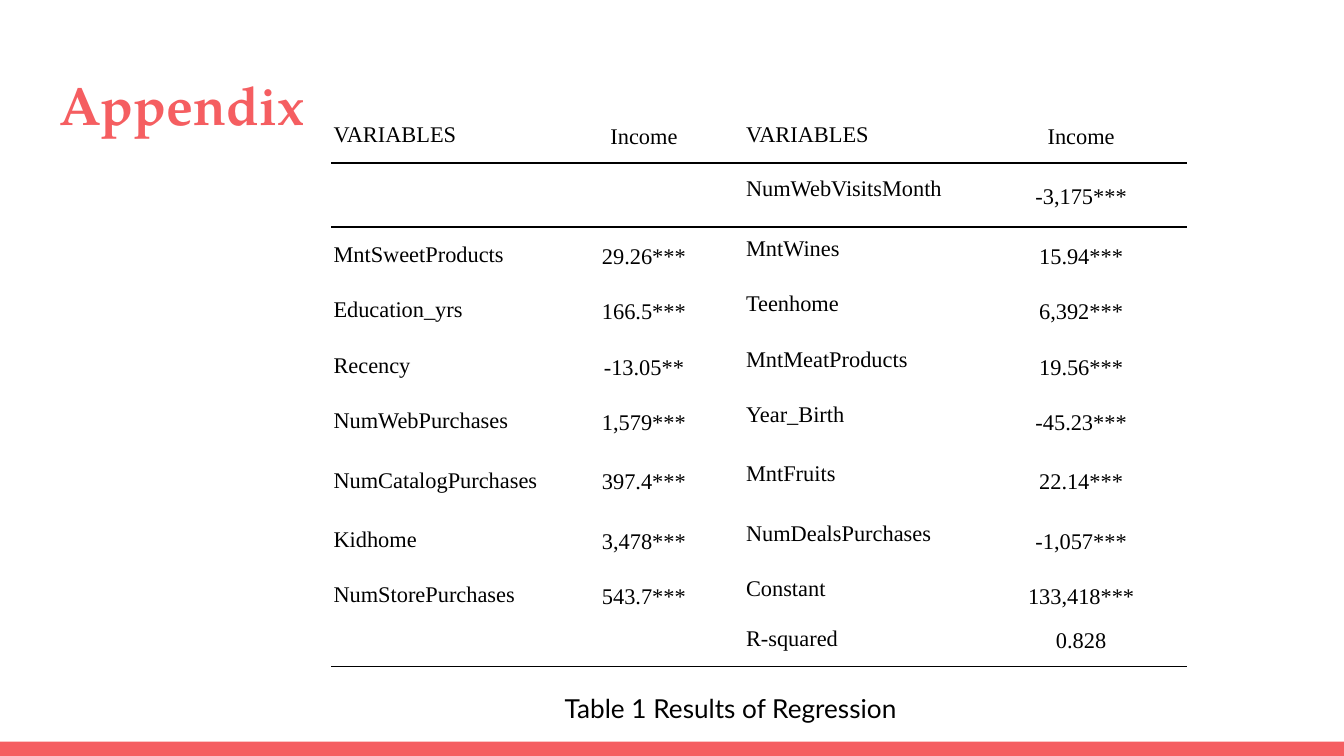
from lxml.etree import SubElement, Element
from pptx import Presentation
from pptx.dml.color import RGBColor
from pptx.enum.shapes import MSO_SHAPE as Shape
from pptx.enum.text import MSO_ANCHOR as Anchor, MSO_AUTO_SIZE as AutoSize, PP_ALIGN as Align
from pptx.oxml.ns import qn
from pptx.util import Pt

CORAL = "F55E61"
BLACK = "000000"
COLUMN_WIDTHS = [113, 108, 124, 112.5]
ROW_HEIGHTS = [23.3, 34.3, 29.7, 29.7, 29.7, 29.7, 33.8, 29.7, 29.7, 23.3]
RULED_ROWS = {0, 1, 9}
TIGHT_ROWS = {0, 9}
ROWS = [
    ["VARIABLES", "Income", "VARIABLES", "Income"],
    ["", "", "NumWebVisitsMonth", "-3,175***"],
    ["MntSweetProducts", "29.26***", "MntWines", "15.94***"],
    ["Education_yrs", "166.5***", "Teenhome", "6,392***"],
    ["Recency", "-13.05**", "MntMeatProducts", "19.56***"],
    ["NumWebPurchases", "1,579***", "Year_Birth", "-45.23***"],
    ["NumCatalogPurchases", "397.4***", "MntFruits", "22.14***"],
    ["Kidhome", "3,478***", "NumDealsPurchases", "-1,057***"],
    ["NumStorePurchases", "543.7***", "Constant", "133,418***"],
    ["", "", "R-squared", "0.828"],
]


def color(value):
    """Return the colour for a hex string."""
    return RGBColor.from_string(value)


def add_run(paragraph, text, font, size, fill, bold=False):
    """Append one formatted run to a paragraph."""
    run = paragraph.add_run()
    run.text = text
    run.font.name = font
    run.font.size = Pt(size)
    run.font.bold = bold
    run.font.color.rgb = color(fill)


def set_margins(target, left, top, right, bottom):
    """Set the four inner margins of a cell or text frame."""
    target.margin_left, target.margin_top = Pt(left), Pt(top)
    target.margin_right, target.margin_bottom = Pt(right), Pt(bottom)


def add_title(slide, text):
    """Place and format the slide title."""
    title = slide.shapes.title
    title.left, title.top, title.width, title.height = Pt(24.5), Pt(31), Pt(671), Pt(49)
    frame = title.text_frame
    frame.auto_size = AutoSize.NONE
    frame.vertical_anchor = Anchor.TOP
    set_margins(frame, 7.2, 7.2, 7.2, 7.2)
    paragraph = frame.paragraphs[0]
    paragraph.alignment = Align.LEFT
    add_run(paragraph, text, "TeX Gyre Pagella", 28.8, CORAL, bold=True)


def add_footer_bar(slide):
    """Draw the coral bar along the bottom edge."""
    bar = slide.shapes.add_shape(Shape.RECTANGLE, 0, Pt(397.3), Pt(720), Pt(7.7))
    bar.shadow.inherit = False
    bar.fill.solid()
    bar.fill.fore_color.rgb = color(CORAL)
    bar.line.fill.background()


def add_rule(cell, edge):
    """Draw a thin black border on one edge of a cell."""
    line = Element(qn(f"a:{edge}"), w=str(Pt(0.75)))
    fill = SubElement(line, qn("a:solidFill"))
    SubElement(fill, qn("a:srgbClr"), val=BLACK)
    cell._tc.get_or_add_tcPr().insert(0, line)


def fill_cell(cell, text, row, column):
    """Write one cell with the margins and alignment of its place."""
    cell.fill.background()
    if row in RULED_ROWS:
        add_rule(cell, "lnB")
    if row - 1 in RULED_ROWS:
        add_rule(cell, "lnT")
    if not text:
        set_margins(cell, 0, 0, 0, 0)
        return
    is_value = column % 2 == 1
    is_tight = row in TIGHT_ROWS or column == 2
    cell.vertical_anchor = Anchor.MIDDLE
    set_margins(cell, 0.7, 0.7 if is_tight else 7.2, 0.7, 7.2)
    paragraph = cell.text_frame.paragraphs[0]
    if is_value:
        paragraph.alignment = Align.CENTER
        paragraph.line_spacing = 1.15
    add_run(paragraph, text, "Times New Roman", 12, BLACK)


def add_regression_table(slide):
    """Add the table of regression coefficients."""
    frame = slide.shapes.add_table(
        len(ROWS), len(COLUMN_WIDTHS), Pt(178), Pt(64),
        Pt(sum(COLUMN_WIDTHS)), Pt(sum(ROW_HEIGHTS)))
    table = frame.table
    table.first_row = table.horz_banding = False
    for column, width in zip(table.columns, COLUMN_WIDTHS):
        column.width = Pt(width)
    for row, height in zip(table.rows, ROW_HEIGHTS):
        row.height = Pt(height)
    for row, texts in enumerate(ROWS):
        for column, text in enumerate(texts):
            fill_cell(table.cell(row, column), text, row, column)


def add_caption(slide, text):
    """Add the centred caption under the table."""
    caption = slide.shapes.add_textbox(Pt(173), Pt(363.6), Pt(437), Pt(31.7))
    frame = caption.text_frame
    frame.word_wrap = True
    set_margins(frame, 7.2, 7.2, 7.2, 7.2)
    paragraph = frame.paragraphs[0]
    paragraph.alignment = Align.CENTER
    add_run(paragraph, text, "Lato", 14, BLACK)


def main():
    """Build and save the slide."""
    presentation = Presentation()
    presentation.slide_width, presentation.slide_height = Pt(720), Pt(405)
    slide = presentation.slides.add_slide(presentation.slide_layouts[5])
    add_footer_bar(slide)
    add_title(slide, "Appendix")
    add_regression_table(slide)
    add_caption(slide, "Table 1 Results of Regression")
    presentation.save("out.pptx")


if __name__ == "__main__":
    main()
